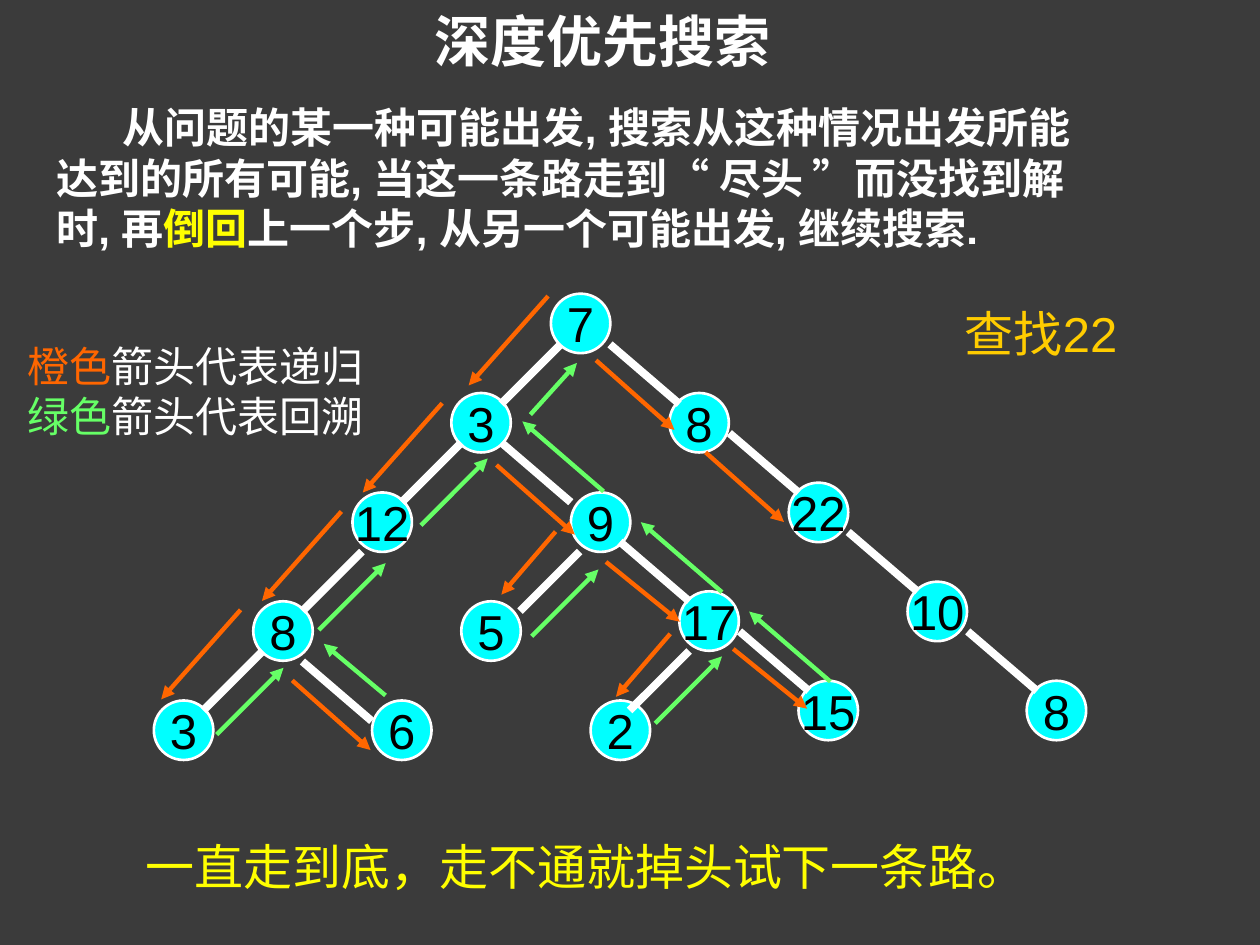
"""Builds a slide that explains depth-first search on a binary tree."""
from pptx import Presentation
from pptx.dml.color import RGBColor
from pptx.enum.shapes import MSO_CONNECTOR, MSO_SHAPE
from pptx.enum.text import MSO_ANCHOR, MSO_AUTO_SIZE, PP_ALIGN
from pptx.oxml.ns import qn
from pptx.util import Pt
from lxml.etree import SubElement

COLORS = {
    "background": "3B3B3B", "text": "FFFFFF", "highlight": "FFFF00",
    "target": "FFCC00", "node": "00FFFF", "label": "000000",
    "recursion": "FF6600", "backtrack": "66FF66",
}
NODE_SIZE = 34

presentation = Presentation()
presentation.slide_width, presentation.slide_height = Pt(720), Pt(540)
slide = presentation.slides.add_slide(presentation.slide_layouts[5])
slide.background.fill.solid()
slide.background.fill.fore_color.rgb = RGBColor.from_string(COLORS["background"])


def write_runs(paragraph, pieces, size, bold=False):
    for words, color in pieces:
        run = paragraph.add_run()
        run.text = words
        run.font.name = "Arial"
        run.font.size = Pt(size)
        run.font.bold = bold
        run.font.color.rgb = RGBColor.from_string(COLORS[color])


def draw_line(x, y, dx, dy, color, width, arrow=False):
    line = slide.shapes.add_connector(
        MSO_CONNECTOR.STRAIGHT, Pt(x), Pt(y), Pt(x + dx), Pt(y + dy))
    line.line.color.rgb = RGBColor.from_string(COLORS[color])
    line.line.width = Pt(width)
    if arrow:
        SubElement(line.line._get_or_add_ln(), qn("a:tailEnd"), type="triangle")
    SubElement(line._element.spPr, qn("a:effectLst"))


title = slide.shapes.title
title.left, title.top, title.width, title.height = Pt(241), Pt(0), Pt(207), Pt(46)
title.text_frame.word_wrap = False
title.text_frame.auto_size = MSO_AUTO_SIZE.NONE
title.text_frame.vertical_anchor = MSO_ANCHOR.TOP
title.text_frame.paragraphs[0].alignment = PP_ALIGN.LEFT
write_runs(title.text_frame.paragraphs[0], [("深度优先搜索", "text")], 32, True)

definition = [
    ("从问题的某一种可能出发, 搜索从这种情况出发所能达到的所有可能, "
     "当这一条路走到“ 尽头 ”而没找到解时, 再", "text"),
    ("倒回", "highlight"),
    ("上一个步, 从另一个可能出发, 继续搜索.", "text"),
]
legend = [
    [("橙色", "recursion"), ("箭头代表递归", "text")],
    [("绿色", "backtrack"), ("箭头代表回溯", "text")],
]
summary = [("一直走到底，走不通就掉头试下一条路。", "highlight")]
target = [("查找22", "target")]

passages = [
    (25.2, 54.7, 607, 122.4, [definition], 24, True, 38),
    (76.3, 474.5, 532.8, 41, [summary], 28, False, 0),
    (544.3, 169.9, 116.6, 41, [target], 28, False, 0),
    (8.6, 190.8, 218.9, 64.8, legend, 24, False, 0),
]
for x, y, width, height, lines, size, bold, indent in passages:
    frame = slide.shapes.add_textbox(Pt(x), Pt(y), Pt(width), Pt(height)).text_frame
    frame.word_wrap = True
    for index, pieces in enumerate(lines):
        paragraph = frame.add_paragraph() if index else frame.paragraphs[0]
        if indent:
            paragraph._p.get_or_add_pPr().set("indent", str(Pt(indent)))
        write_runs(paragraph, pieces, size, bold)

nodes = [
    ("7", 314.8, 167.8),
    ("3", 257.9, 224.6), ("8", 382.5, 224.6),
    ("12", 201.4, 281.4), ("9", 326.2, 281.4), ("22", 450.7, 275.8),
    ("8", 144.7, 343.6), ("5", 263.6, 343.6), ("17", 388.2, 337.9), ("10", 518.6, 332.4),
    ("3", 87.9, 400.3), ("6", 212.6, 400.3), ("2", 337.5, 400.3),
    ("15", 456.3, 389), ("8", 586.7, 389),
]
for value, x, y in nodes:
    node = slide.shapes.add_shape(
        MSO_SHAPE.OVAL, Pt(x), Pt(y), Pt(NODE_SIZE), Pt(NODE_SIZE))
    node.shadow.inherit = False
    node.fill.solid()
    node.fill.fore_color.rgb = RGBColor.from_string(COLORS["node"])
    node.line.color.rgb = RGBColor.from_string(COLORS["text"])
    node.line.width = Pt(1.5)
    node.text_frame.word_wrap = False
    node.text_frame.vertical_anchor = MSO_ANCHOR.MIDDLE
    node.text_frame.paragraphs[0].alignment = PP_ALIGN.CENTER
    write_runs(node.text_frame.paragraphs[0], [(value, "label")], 28)

edges = [
    (-34, 34, [(320.4, 196.8), (263.6, 253), (206.8, 315.2), (150.2, 372),
               (331.2, 315.2), (393.8, 372)]),
    (39.6, 34, [(348.6, 196.8), (416.8, 247.5), (484.7, 304), (422.6, 360.8),
                (286.6, 253), (172.8, 378), (354.3, 309.6), (553, 360.8)]),
]
for dx, dy, starts in edges:
    for x, y in starts:
        draw_line(x, y, dx, dy, "text", 4.5)

arrows = [
    ("recursion", -45.4, 51.1, [(313.2, 169.2), (252.7, 230.4), (195.1, 292.3), (137.5, 348.5)]),
    ("recursion", -31, 36, [(317.5, 303.8), (383, 362.2)]),
    ("recursion", 44.8, 39.8, [(167, 388.8), (283.7, 265.7), (340.6, 205.9), (403.2, 258.5)]),
    ("recursion", 42.2, 34.2, [(346.3, 321.1), (419, 370.8)]),
    ("backtrack", 38.2, -38.2, [(123.8, 419.8), (182.2, 360), (240.5, 300.2),
                                (303.8, 363.6), (374.4, 413.3)]),
    ("backtrack", 26.6, -29.5, [(303.1, 236.9)]),
    ("backtrack", -46.4, -40, [(474.5, 389.5), (412.6, 338.4), (344.9, 280.8)]),
    ("backtrack", -35.3, -29.5, [(220.3, 397.4)]),
]
for step, dx, dy, starts in arrows:
    for x, y in starts:
        draw_line(x, y, dx, dy, step, 2.5, arrow=True)

presentation.save("out.pptx")
